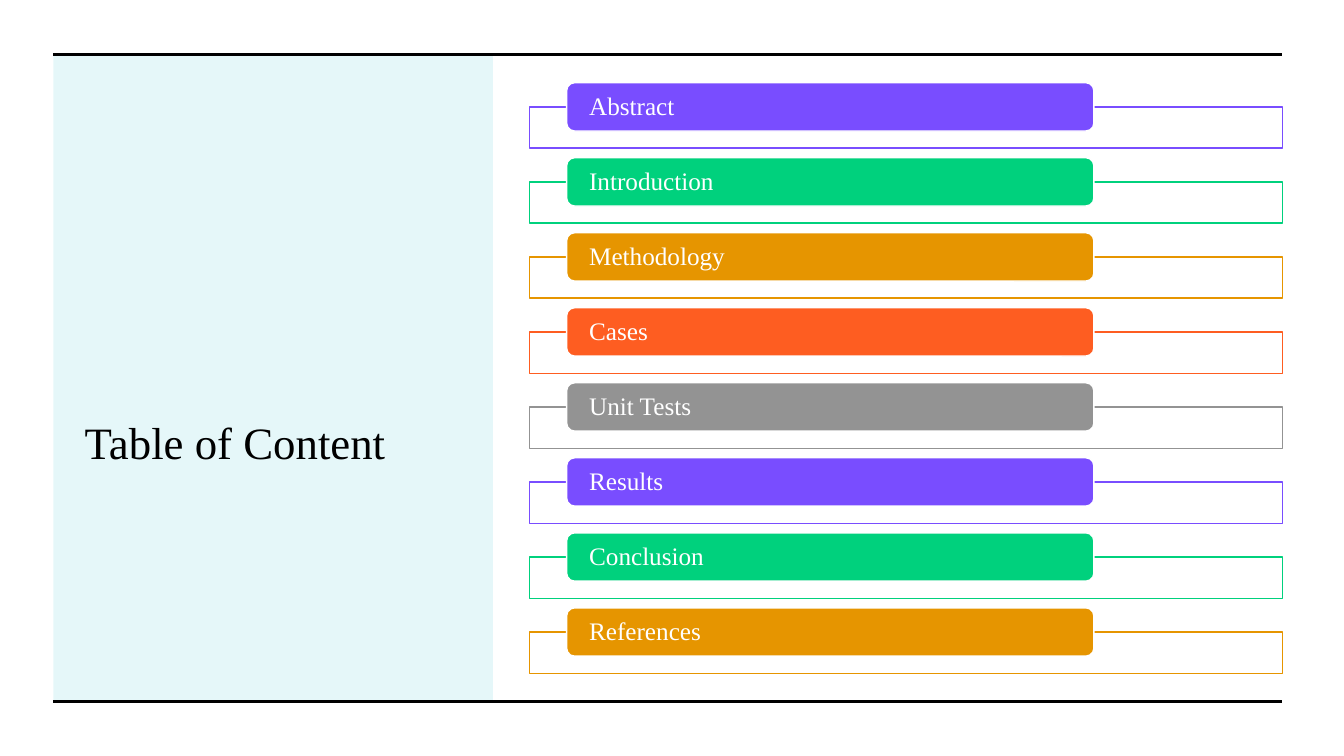
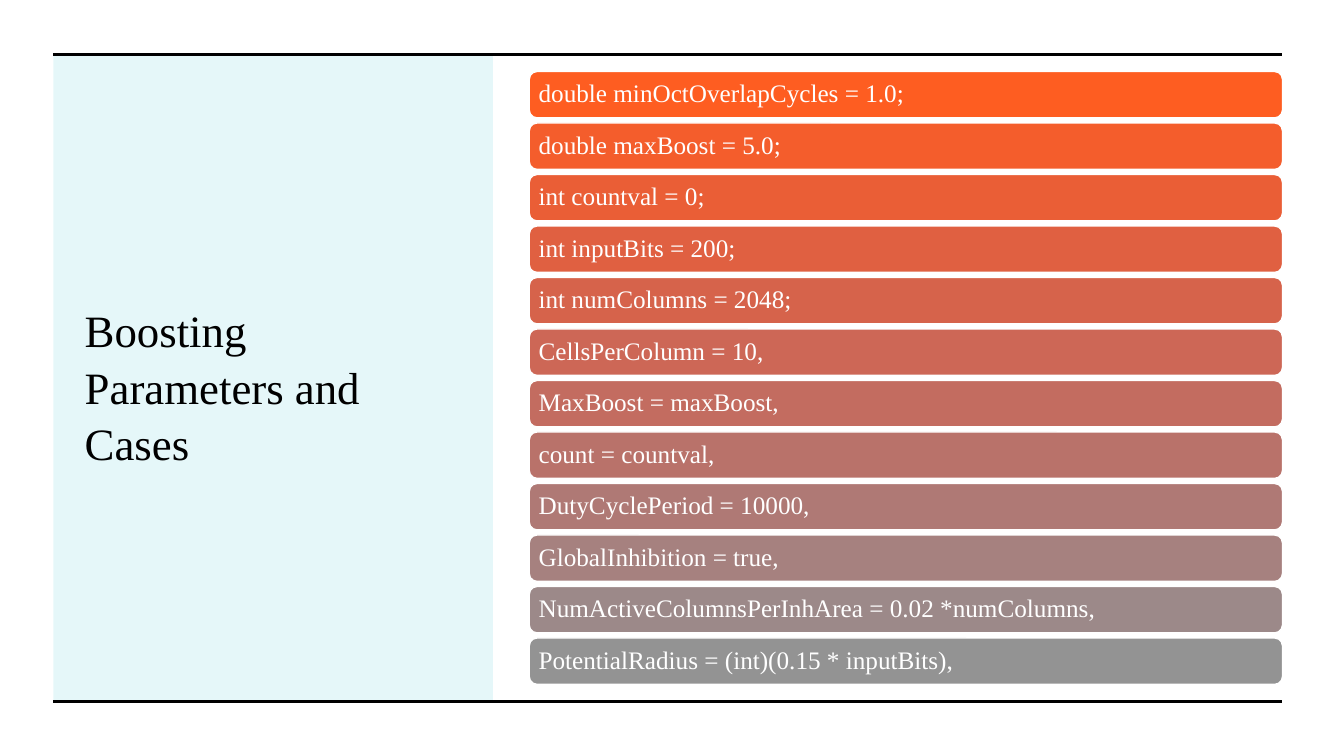
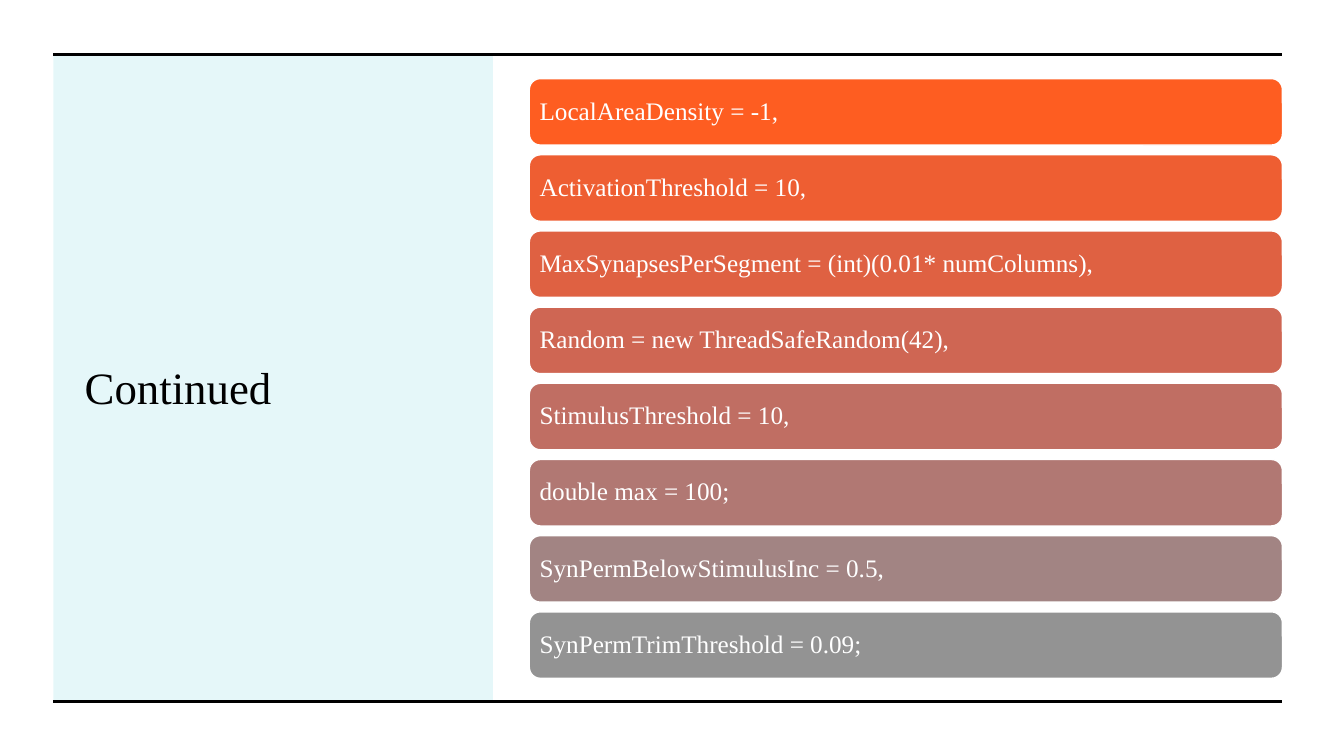
import colorsys

import lxml.etree
import pptx
import pptx.dml.color
import pptx.enum.shapes
import pptx.enum.text
import pptx.oxml.ns
import pptx.util
from pptx.util import Inches

COLORS = {
    "black": "000000",
    "white": "FFFFFF",
    "teal": "00BAC8",
    "violet": "794DFF",
    "green": "00D17D",
    "amber": "E69500",
    "orange": "FE5D21",
    "gray": "939393",
}
FONT = "Times New Roman"
TITLE_FONT = {"name": FONT, "size": pptx.util.Pt(32), "bold": False}
BAR_FONT = {"name": FONT, "size": pptx.util.Pt(18)}
TITLE_FRAME = {
    "word_wrap": True,
    "auto_size": pptx.enum.text.MSO_AUTO_SIZE.NONE,
    "vertical_anchor": pptx.enum.text.MSO_ANCHOR.MIDDLE,
}
BAR_FRAME = {
    "word_wrap": True,
    "vertical_anchor": pptx.enum.text.MSO_ANCHOR.MIDDLE,
    "margin_top": 0,
    "margin_bottom": 0,
}
TITLE_PARAGRAPH = {"alignment": pptx.enum.text.PP_ALIGN.LEFT, "line_spacing": 1.05}
BAR_PARAGRAPH = {"alignment": pptx.enum.text.PP_ALIGN.LEFT, "line_spacing": 0.9}

LEFT, RIGHT, TOP, BOTTOM = 0.53, 12.72, 0.54, 6.96
LIST_LEFT = 5.25
LIST_WIDTH = RIGHT - LIST_LEFT
TITLE_TOP = 1.07

CONTENTS = [
    "Abstract", "Introduction", "Methodology", "Cases",
    "Unit Tests", "Results", "Conclusion", "References",
]
CONTENT_COLORS = ["violet", "green", "amber", "orange", "gray"]
BOOSTING_PARAMETERS = [
    "double minOctOverlapCycles = 1.0;",
    "double maxBoost = 5.0;",
    "int countval = 0;",
    "int inputBits = 200;",
    "int numColumns = 2048;",
    "CellsPerColumn = 10,",
    "MaxBoost = maxBoost,",
    "count = countval,",
    "DutyCyclePeriod = 10000,",
    "GlobalInhibition = true,",
    "NumActiveColumnsPerInhArea = 0.02 *numColumns,",
    "PotentialRadius = (int)(0.15 * inputBits),",
]
MORE_PARAMETERS = [
    "LocalAreaDensity = -1,",
    "ActivationThreshold = 10,",
    "MaxSynapsesPerSegment = (int)(0.01* numColumns),",
    "Random = new ThreadSafeRandom(42),",
    "StimulusThreshold = 10,",
    "double max = 100;",
    "SynPermBelowStimulusInc = 0.5,",
    "SynPermTrimThreshold = 0.09;",
]


def rgb(color):
    return pptx.dml.color.RGBColor.from_string(color)


def apply_format(target, values):
    for name, value in values.items():
        setattr(target, name, value)


def write_text(shape, text, color, frame_format, paragraph_format, font_format):
    frame = shape.text_frame
    frame.text = text
    apply_format(frame, frame_format)
    paragraph = frame.paragraphs[0]
    apply_format(paragraph, paragraph_format)
    font = paragraph.runs[0].font
    apply_format(font, font_format)
    font.color.rgb = rgb(color)


def add_box(slide, kind, left, top, width, height, fill, line=None):
    shape = slide.shapes.add_shape(
        kind, Inches(left), Inches(top), Inches(width), Inches(height))
    shape.shadow.inherit = False
    shape.fill.solid()
    shape.fill.fore_color.rgb = rgb(fill)
    if line:
        shape.line.color.rgb = rgb(line)
        shape.line.width = pptx.util.Pt(1)
    else:
        shape.line.fill.background()
    return shape


def add_rule(slide, top):
    rule = slide.shapes.add_connector(
        pptx.enum.shapes.MSO_CONNECTOR.STRAIGHT,
        Inches(LEFT), Inches(top), Inches(RIGHT), Inches(top))
    rule.line.color.rgb = rgb(COLORS["black"])
    rule.line.width = pptx.util.Pt(2.25)
    properties = rule.element.find(pptx.oxml.ns.qn("p:spPr"))
    lxml.etree.SubElement(properties, pptx.oxml.ns.qn("a:effectLst"))


def add_title_panel(slide):
    """Place the tinted panel behind the title."""
    panel = add_box(slide, pptx.enum.shapes.MSO_SHAPE.RECTANGLE,
                    LEFT, TOP, 4.36, BOTTOM - TOP, COLORS["teal"])
    color = next(panel.element.iter(pptx.oxml.ns.qn("a:srgbClr")))
    lxml.etree.SubElement(color, pptx.oxml.ns.qn("a:alpha"), val="10000")
    slide.shapes.title.element.addprevious(panel.element)


def add_base_slide(presentation, title_text, title_top=TITLE_TOP):
    slide = presentation.slides.add_slide(presentation.slide_layouts[5])
    title = slide.shapes.title
    apply_format(title, {"left": Inches(0.74), "top": Inches(title_top),
                         "width": Inches(3.89), "height": Inches(5.5)})
    write_text(title, title_text, COLORS["black"],
               TITLE_FRAME, TITLE_PARAGRAPH, TITLE_FONT)
    add_title_panel(slide)
    for top in (TOP, BOTTOM):
        add_rule(slide, top)
    return slide


def add_bar(slide, text, left, top, width, height, fill, margin):
    bar = add_box(slide, pptx.enum.shapes.MSO_SHAPE.ROUNDED_RECTANGLE,
                  left, top, width, height, fill, COLORS["white"])
    margins = {"margin_left": Inches(margin), "margin_right": Inches(margin)}
    write_text(bar, text, COLORS["white"],
               {**BAR_FRAME, **margins}, BAR_PARAGRAPH, BAR_FONT)


def spaced(first, last, count):
    """Return count equally spaced values from first to last."""
    return [first + (last - first) * index / (count - 1) for index in range(count)]


def blend(start, end, count):
    """Return count colours that run evenly in hue, lightness and saturation."""
    ends = [colorsys.rgb_to_hls(*(channel / 255 for channel in bytes.fromhex(color)))
            for color in (start, end)]
    steps = zip(*(spaced(first, last, count) for first, last in zip(*ends)))
    return [bytes(round(channel * 255) for channel in colorsys.hls_to_rgb(*step)).hex().upper()
            for step in steps]


def add_contents(slide, first_top, last_top):
    for index, top in enumerate(spaced(first_top, last_top, len(CONTENTS))):
        color = COLORS[CONTENT_COLORS[index % len(CONTENT_COLORS)]]
        add_box(slide, pptx.enum.shapes.MSO_SHAPE.RECTANGLE,
                LIST_LEFT, top + 0.24, LIST_WIDTH, 0.41, COLORS["white"], color)
        add_bar(slide, CONTENTS[index], 5.62, top, 5.23, 0.48, color, 0.2)


def add_parameters(slide, parameters, first_top, last_top, height):
    count = len(parameters)
    tops = spaced(first_top, last_top, count)
    fills = blend(COLORS["orange"], COLORS["gray"], count)
    for text, top, fill in zip(parameters, tops, fills):
        add_bar(slide, text, LIST_LEFT, top, LIST_WIDTH, height, fill, 0.07)


def main():
    presentation = pptx.Presentation()
    presentation.slide_width = Inches(13.33)
    presentation.slide_height = Inches(7.5)

    slide = add_base_slide(presentation, "Table of Content", TITLE_TOP + 0.55)
    add_contents(slide, 0.82, 6.03)

    slide = add_base_slide(presentation, "Boosting Parameters and Cases")
    add_parameters(slide, BOOSTING_PARAMETERS, 0.71, 6.33, 0.46)

    slide = add_base_slide(presentation, "Continued")
    add_parameters(slide, MORE_PARAMETERS, 0.78, 6.07, 0.66)

    presentation.save("out.pptx")


if __name__ == "__main__":
    main()
